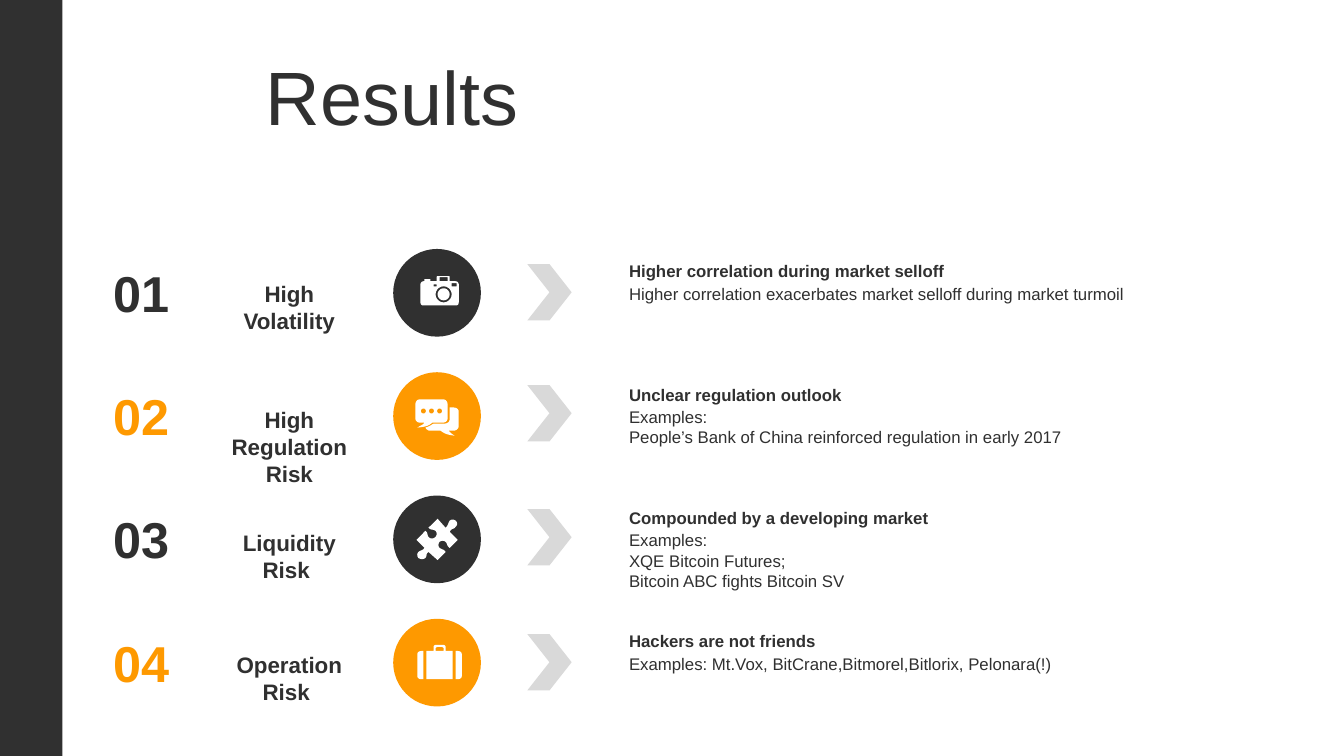
from pptx import Presentation
from pptx import util as u
from pptx.dml import color
from pptx.enum import shapes, text

HUES = {"dark": "303030", "gold": "FE9900", "pale": "D9D9D9", "white": "FFFFFF"}
CELL = 0.1
PITCH = 12.23


def ring(x, y, r):
    k = r * 0.55
    return (f"M {x + r} {y} C {x + r} {y + k} {x + k} {y + r} {x} {y + r} "
            f"C {x - k} {y + r} {x - r} {y + k} {x - r} {y} "
            f"C {x - r} {y - k} {x - k} {y - r} {x} {y - r} "
            f"C {x + k} {y - r} {x + r} {y - k} {x + r} {y} Z ")


def rect(x, y, w, h):
    return f"M {x} {y} L {x + w} {y} L {x + w} {y + h} L {x} {y + h} Z "


CAMERA = (
    ring(50, 45, 6) + ring(50, 45, 8)
    + rect(40, 35, 3, 2) + rect(58, 34, 5, 3) + rect(46, 28, 8, 4)
    + "M 44 27 L 55 27 C 56 27 56 27 56 28 L 56 32 L 62 32 C 64 32 65 34 65 35 "
    "L 65 53 C 65 55 64 56 62 56 L 30 56 C 28 56 27 55 27 53 L 27 35 "
    "C 27 34 28 32 30 32 L 31 32 L 31 30 L 37 30 L 37 32 L 43 32 L 43 28 "
    "C 43 27 44 27 44 27 Z")
CHAT = (
    "".join(ring(x, 38.5, 2.5) for x in (30, 38, 46))
    + "M 56 35 L 60 35 C 63 35 65 37 65 39 L 65 53 C 65 56 63 58 60 58 L 55 58 "
    "C 56 59 56 60 61 63 C 53 62 51 61 47 58 L 36 58 C 35 58 33 57 32 55 "
    "C 35 54 37 53 40 51 L 51 51 C 54 51 56 49 56 47 Z "
    "M 26 27 L 50 27 C 52 27 54 29 54 32 L 54 46 C 54 48 52 50 50 50 L 39 50 "
    "C 34 54 32 54 24 55 C 28 52 29 53 31 50 L 26 50 C 24 50 22 48 22 46 "
    "L 22 32 C 22 29 24 27 26 27 Z")
PUZZLE = (
    "M 62 25 C 64 27 64 29 62 31 C 60 34 58 32 56 36 L 64 44 L 56 52 "
    "C 53 50 54 48 52 46 C 50 44 47 45 46 46 C 45 47 44 50 46 52 "
    "C 49 54 50 53 52 56 L 44 64 L 35 56 C 32 58 34 59 32 62 "
    "C 29 64 27 63 25 62 C 24 61 23 58 25 56 C 27 54 29 55 31 52 L 23 44 "
    "L 32 35 C 35 37 33 40 36 42 C 38 43 40 43 42 41 C 43 40 44 37 42 35 "
    "C 39 33 38 35 35 32 L 44 23 L 52 32 C 55 29 54 28 56 25 "
    "C 58 23 61 24 62 25 Z")
CASE = (
    "M 62 32 L 64 32 C 66 32 68 33 68 35 L 68 57 C 68 59 66 60 64 60 L 62 60 Z "
    "M 28 32 L 30 32 L 30 60 L 28 60 C 26 60 24 59 24 57 L 24 35 "
    "C 24 33 26 32 28 32 Z "
    "M 44 28 C 43 28 42 29 42 29 L 42 32 L 50 32 L 50 29 C 50 29 49 28 48 28 Z "
    "M 42 26 L 50 26 C 51 26 52 27 52 28 L 52 32 L 59 32 L 59 60 L 33 60 "
    "L 33 32 L 40 32 L 40 28 C 40 27 41 26 42 26 Z")

RISKS = [
    ("High Volatility", 27.3, 6.4, 26.2, CAMERA,
     "Higher correlation during market selloff",
     "Higher correlation exacerbates market selloff during market turmoil"),
    ("High Regulation Risk", 39.8, 9.1, 38.2, CHAT,
     "Unclear regulation outlook",
     "Examples:\nPeople’s Bank of China reinforced regulation in early 2017"),
    ("Liquidity Risk ", 52, 6.4, 50.5, PUZZLE,
     "Compounded by a developing market",
     "Examples:\nXQE Bitcoin Futures;\nBitcoin ABC fights Bitcoin SV"),
    ("Operation\nRisk ", 64.1, 6.4, 62.9, CASE,
     "Hackers are not friends",
     "Examples: Mt.Vox, BitCrane,Bitmorel,Bitlorix, Pelonara(!)"),
]


def curve(path):
    loops, words = [], path.split()
    while words:
        mark = words.pop(0)
        if mark == "Z":
            continue
        count = 6 if mark == "C" else 2
        nums = [float(n) for n in words[:count]]
        del words[:count]
        pts = list(zip(nums[::2], nums[1::2]))
        if mark == "M":
            loops.append(pts)
        elif mark == "L":
            loops[-1] += pts
        else:
            ends = [loops[-1][-1]] + pts
            for t in (0.2, 0.4, 0.6, 0.8, 1):
                s = 1 - t
                mix = (s ** 3, 3 * s * s * t, 3 * s * t * t, t ** 3)
                loops[-1].append(tuple(
                    sum(m * p[axis] for m, p in zip(mix, ends)) for axis in (0, 1)))
    return loops


class Deck:
    """Hold the style and the current slide, measured in grid cells."""

    def __init__(self):
        self.show = Presentation()
        self.show.slide_width = u.Inches(13.33)
        self.show.slide_height = u.Inches(7.5)
        self.page = self.show.slides.add_slide(self.show.slide_layouts[6])
        self.font = "Arial"

    def grid(self, *cells):
        return [u.Inches(c * CELL) for c in cells]

    def paint(self, item, hue):
        item.shadow.inherit = False
        item.fill.solid()
        item.fill.fore_color.rgb = color.RGBColor.from_string(HUES[hue])
        item.line.fill.background()

    def shape(self, kind, box, hue):
        self.paint(self.page.shapes.add_shape(kind, *self.grid(*box)), hue)

    def icon(self, path, left, top):
        loops = [[self.grid(left + x / 10, top + y / 10) for x, y in loop]
                 for loop in curve(path)]
        pen = self.page.shapes.build_freeform(*loops[0][0], scale=1.0)
        for i, loop in enumerate(loops):
            if i:
                pen.move_to(*loop[0])
            pen.add_line_segments(loop[1:], close=True)
        self.paint(pen.convert_to_shape(), "white")

    def words(self, copy, box, size, hue="dark", bold=False, mid=False):
        frame = self.page.shapes.add_textbox(*self.grid(*box)).text_frame
        frame.word_wrap = True
        frame.auto_size = text.MSO_AUTO_SIZE.SHAPE_TO_FIT_TEXT
        frame.text = copy
        for para in frame.paragraphs:
            para.alignment = text.PP_ALIGN.CENTER if mid else text.PP_ALIGN.LEFT
            for run in para.runs:
                run.font.name = self.font
                run.font.size = u.Pt(size)
                run.font.bold = bold
                run.font.color.rgb = color.RGBColor.from_string(HUES[hue])
        return frame


def main():
    deck = Deck()
    kind = shapes.MSO_SHAPE
    deck.shape(kind.RECTANGLE, (0, 0, 6.2, 75), "dark")
    title = deck.words("Results", (25.4, 6.1, 104.7, 7.9), 54)
    title.auto_size = text.MSO_AUTO_SIZE.NONE
    title.vertical_anchor = text.MSO_ANCHOR.MIDDLE
    title.paragraphs[0].line_spacing = 0.9

    for i, (name, row, high, tip, icon, head, body) in enumerate(RISKS):
        top = 24.7 + i * PITCH
        hue = "gold" if i % 2 else "dark"
        deck.shape(kind.OVAL, (39, top, 8.7, 8.7), hue)
        deck.icon(icon, 39, top)
        deck.words(f"{i + 1:02}", (9.6, top + 0.8, 8.8, 7.1), 36, hue, True, True)
        deck.words(name, (20.9, row, 15.6, high), 16, bold=True, mid=True)
        deck.shape(kind.CHEVRON, (52.3, tip, 4.4, 5.6), "pale")
        deck.words(head, (61.4, top + 0.7, 62.5, 3), 12, bold=True)
        lines = body.count("\n") + 1
        deck.words(body, (61.4, top + 2.95, 62.5, 1 + 2 * lines), 12)
    deck.show.save("out.pptx")


if __name__ == "__main__":
    main()
